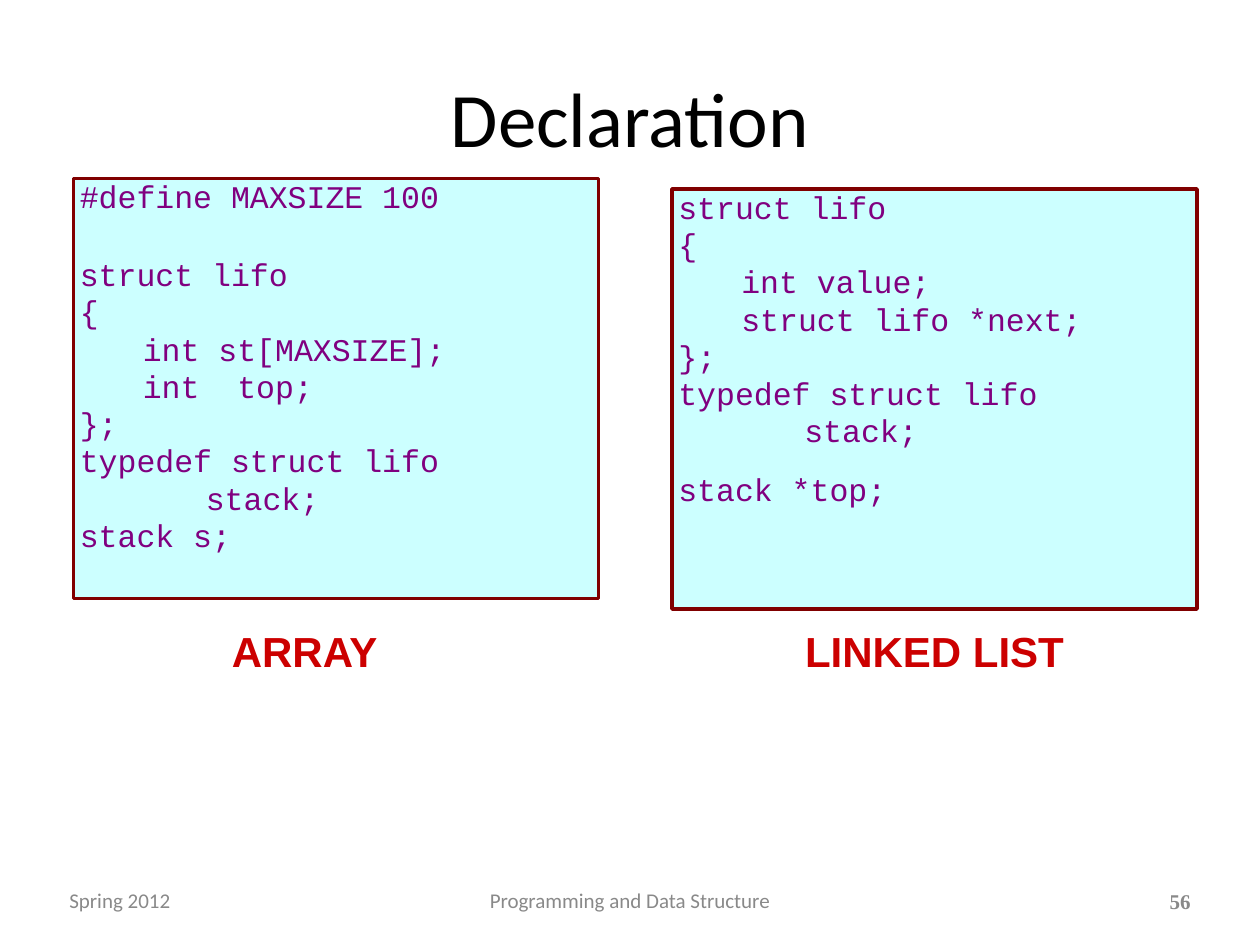
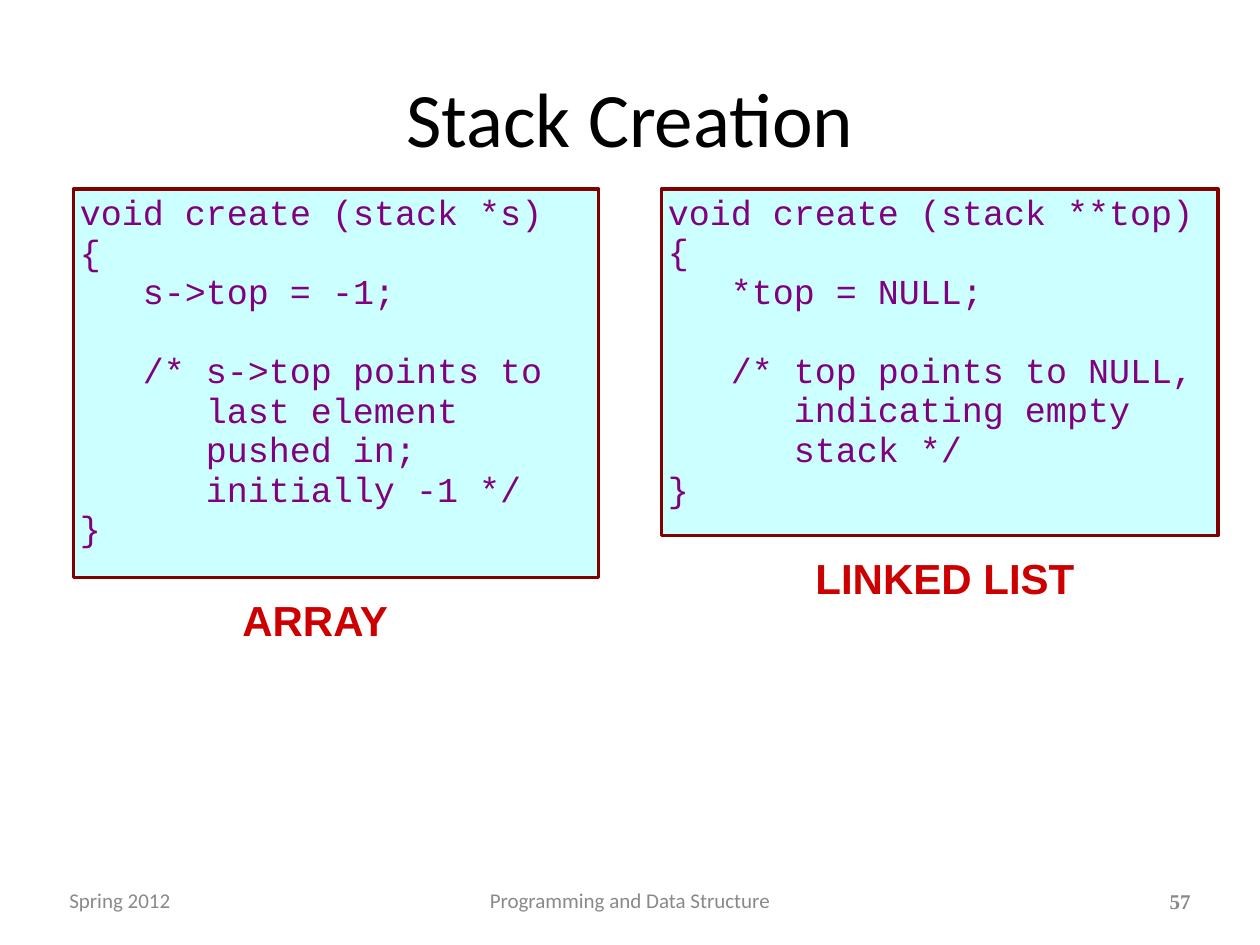
from lxml import etree
from pptx import Presentation
from pptx import util as u
from pptx.dml.color import RGBColor
from pptx.enum import shapes, text
from pptx.oxml.ns import qn

INK, GREY, RED = "000000", "898989", "CC0000"
PURPLE, MAROON, PALE = "800080", "800000", "CCFFFF"
LEFT, CENTER, RIGHT = text.PP_ALIGN.LEFT, text.PP_ALIGN.CENTER, text.PP_ALIGN.RIGHT
TOP, MIDDLE = text.MSO_ANCHOR.TOP, text.MSO_ANCHOR.MIDDLE
COLUMNS, ROWS = 120, 90
MONO_ADVANCE = 0.6


def color(value):
    return RGBColor.from_string(value)


class Deck:
    def __init__(self):
        self.presentation = Presentation()
        self.presentation.slide_width = u.Inches(10)
        self.presentation.slide_height = u.Inches(7.5)
        self.slide = None

    def box(self, left, top, width, height):
        column = self.presentation.slide_width / COLUMNS
        row = self.presentation.slide_height / ROWS
        return int(left * column), int(top * row), int(width * column), int(height * row)

    def move(self, shape, place):
        shape.left, shape.top, shape.width, shape.height = self.box(*place)

    def frame(self, shape, anchor, wrap=True):
        frame = shape.text_frame
        frame.auto_size = text.MSO_AUTO_SIZE.NONE
        frame.word_wrap = wrap
        frame.vertical_anchor = anchor
        frame.margin_left = frame.margin_right = u.Inches(0.05)
        frame.margin_top = frame.margin_bottom = u.Inches(0.05)
        return frame

    def run(self, paragraph, words, font, size, ink, bold=False, align=LEFT):
        paragraph.alignment = align
        run = paragraph.add_run()
        run.text = words
        run.font.name = font
        run.font.size = u.Pt(size)
        run.font.bold = bold
        run.font.color.rgb = color(ink)

    def start(self, title, number):
        self.slide = self.presentation.slides.add_slide(self.presentation.slide_layouts[1])
        shape = self.slide.shapes.title
        self.move(shape, (6, 3.6, 108, 15))
        frame = self.frame(shape, MIDDLE)
        self.run(frame.paragraphs[0], title, "Calibri", 44, INK, align=CENTER)
        self.footer(number)

    def textbox(self, place, words, font, size, ink, bold=False, align=LEFT,
                anchor=MIDDLE, wrap=True):
        shape = self.slide.shapes.add_textbox(*self.box(*place))
        frame = self.frame(shape, anchor, wrap)
        self.run(frame.paragraphs[0], words, font, size, ink, bold, align)

    def footer(self, number):
        self.textbox((6, 84, 28, 3.5), "Spring 2012", "Calibri", 12, GREY)
        self.textbox((41, 84, 38, 3.5), "Programming and Data Structure", "Calibri", 12, GREY,
                     align=CENTER)
        self.textbox((110.6, 84, 3.4, 3.6), str(number), "Times New Roman", 12, GREY,
                     bold=True, align=RIGHT, wrap=False)

    def label(self, left, top, width, words):
        self.textbox((left, top, width, 5.8), words, "Arial", 24, RED, bold=True,
                     align=CENTER, anchor=TOP)

    def body(self, place):
        shape = self.slide.placeholders[1]
        self.move(shape, place)
        return shape

    def panel(self, place):
        shape = self.slide.shapes.add_shape(shapes.MSO_SHAPE.RECTANGLE, *self.box(*place))
        shape.shadow.inherit = False
        return shape

    def code(self, shape, lines, size, leading, before, stops, gaps):
        shape.fill.solid()
        shape.fill.fore_color.rgb = color(PALE)
        shape.line.color.rgb = color(MAROON)
        shape.line.width = u.Pt(2)
        frame = self.frame(shape, TOP)
        for index, line in enumerate(lines):
            paragraph = frame.add_paragraph() if index else frame.paragraphs[0]
            paragraph.line_spacing = leading
            paragraph.space_before = u.Pt(gaps.get(index, before))
            self.run(paragraph, line, "Courier New", size, PURPLE)
            self.tabs(paragraph, [u.Pt(stop * size * MONO_ADVANCE) for stop in stops])

    def tabs(self, paragraph, positions):
        properties = paragraph._p.get_or_add_pPr()
        properties.set("marL", "0")
        properties.set("indent", "0")
        etree.SubElement(properties, qn("a:buNone"))
        tab_list = etree.SubElement(properties, qn("a:tabLst"))
        for position in positions:
            etree.SubElement(tab_list, qn("a:tab"), pos=str(int(position)), algn="l")


deck = Deck()

declaration = dict(size=18, leading=0.8, before=4, stops=(3, 16))
deck.start("Declaration", 56)
deck.code(deck.body((7, 17, 50, 40)), [
    "#define MAXSIZE 100",
    "struct lifo",
    "{",
    "\tint st[MAXSIZE];",
    "\tint  top;",
    "};",
    "typedef struct lifo",
    "\t\tstack;",
    "stack s;",
], gaps={1: 27}, **declaration)
deck.code(deck.panel((64, 18, 50, 40)), [
    "struct lifo",
    "{",
    "\tint value;",
    "\tstruct lifo *next;",
    "};",
    "typedef struct lifo",
    "\t\tstack;",
    "stack *top;",
], gaps={7: 16}, **declaration)
deck.label(18, 59, 22, "ARRAY")
deck.label(70, 59, 38, "LINKED LIST")

creation = dict(size=20, leading=0.9, before=1, stops=(3, 6, 23), gaps={3: 23.5})
deck.start("Stack Creation", 57)
deck.code(deck.body((7, 18, 50, 37)), [
    "void create (stack *s)",
    "{",
    "\ts->top = -1;",
    "\t/* s->top points to",
    "\t\tlast element",
    "\t\tpushed in;",
    "\t\tinitially -1 */",
    "}",
], **creation)
deck.code(deck.panel((63, 18, 53, 33)), [
    "void create (stack **top)",
    "{",
    "\t*top = NULL;",
    "\t/* top points to NULL,",
    "\t\tindicating empty",
    "\t\tstack\t*/",
    "}",
], **creation)
deck.label(19, 56, 22, "ARRAY")
deck.label(71, 52, 38, "LINKED LIST")

deck.presentation.save("out.pptx")
